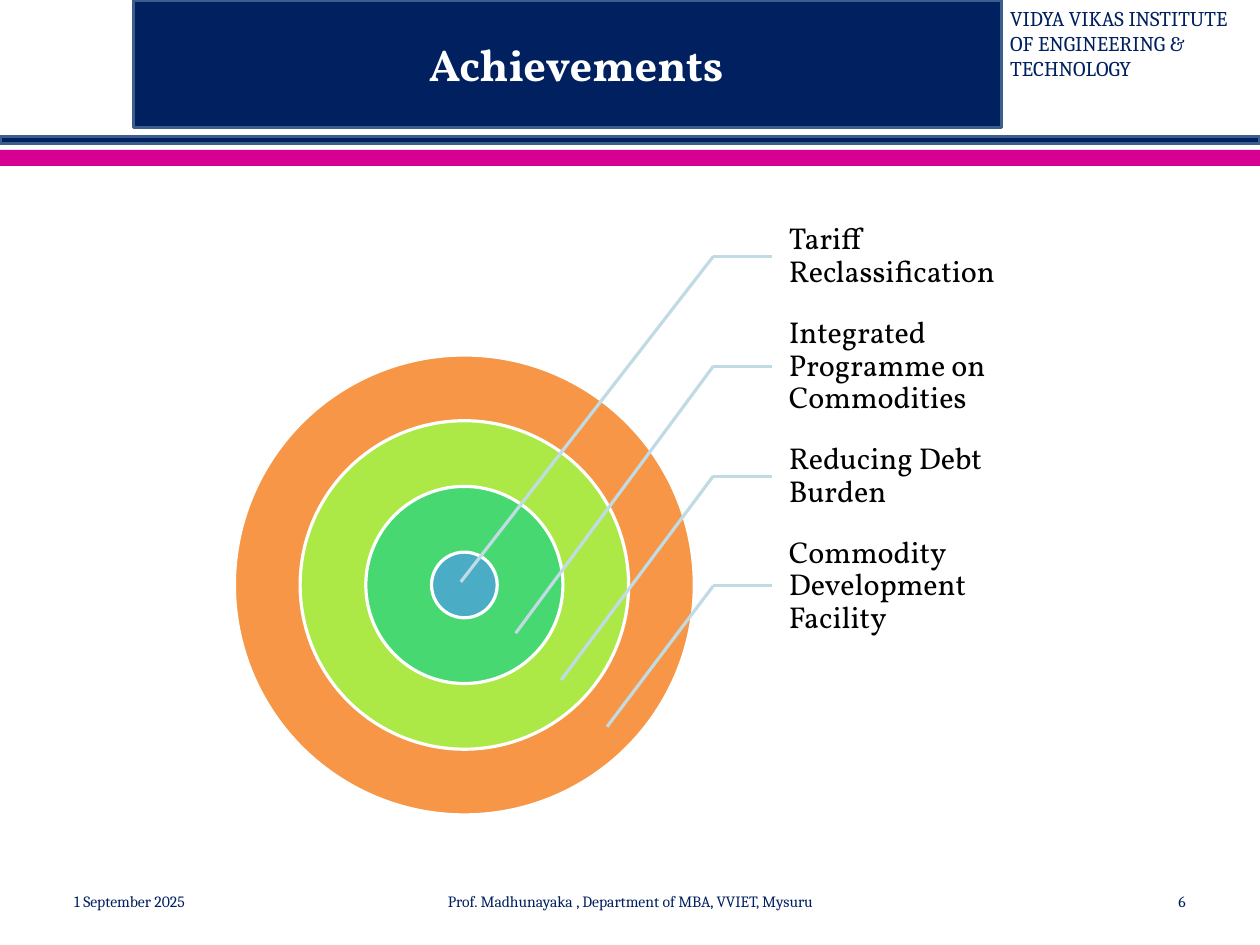
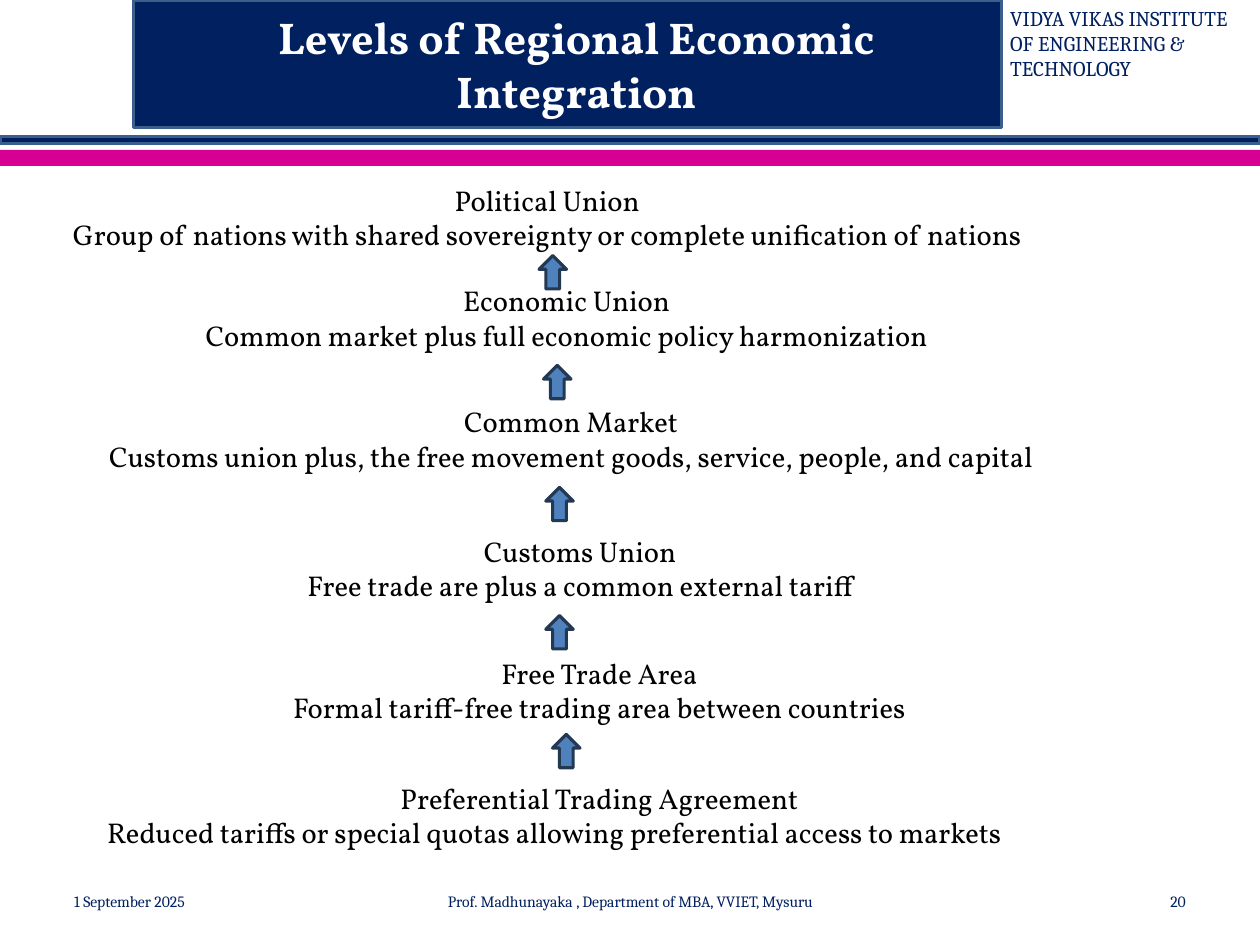
import pptx
import pptx.dml.color
import pptx.enum.shapes
import pptx.enum.text
import pptx.oxml
import pptx.oxml.ns
import pptx.util

Cm = pptx.util.Cm
Pt = pptx.util.Pt
hex_color = pptx.dml.color.RGBColor.from_string
SHAPE = pptx.enum.shapes.MSO_SHAPE
ALIGN = pptx.enum.text.PP_ALIGN
ANCHOR = pptx.enum.text.MSO_ANCHOR

NAVY, WHITE, BLACK = "002060", "FFFFFF", "000000"
BAND_EDGE, PINK, LEADER = "3A5F8C", "D60093", "C1DBE5"
HEAD_FONT, SMALL_FONT = "Vollkorn", "Cambria"
BAND_HEIGHT = 2.84


def add_figure(slide, kind, box, fill, line=None):
    shape = slide.shapes.add_shape(kind, *[Cm(length) for length in box])
    shape.shadow.inherit = False
    shape.fill.solid()
    shape.fill.fore_color.rgb = hex_color(fill)
    if line:
        shape.line.color.rgb = hex_color(line)
        shape.line.width = Pt(2)
    else:
        shape.line.fill.background()
    return shape


def add_text(slide, box, text, size, font, color, align=ALIGN.LEFT, anchor=ANCHOR.TOP):
    shape = slide.shapes.add_textbox(*[Cm(length) for length in box])
    frame = shape.text_frame
    frame.word_wrap = True
    frame.vertical_anchor = anchor
    frame.text = text
    for paragraph in frame.paragraphs:
        paragraph.alignment = align
        paragraph.font.size = Pt(size)
        paragraph.font.name = font
        paragraph.font.color.rgb = hex_color(color)
    return shape


presentation = pptx.Presentation()
presentation.slide_width, presentation.slide_height = Cm(28), Cm(21)
layout = presentation.slide_layouts.get_by_name("Title Only")

# Title position, set once on the layout: as high as the header band
layout_title = layout.placeholders[0]
layout_title.left, layout_title.top = Cm(3.56), Cm(0)
layout_title.width, layout_title.height = Cm(18.49), Cm(BAND_HEIGHT)

achievements = presentation.slides.add_slide(layout)
integration = presentation.slides.add_slide(layout)

# Header bands and institute name, drawn once and moved to the layout
header = [
    add_figure(achievements, SHAPE.RECTANGLE, (2.97, 0, 19.28, BAND_HEIGHT), NAVY, BAND_EDGE),
    add_figure(achievements, SHAPE.RECTANGLE, (0, 3.04, 28, 0.15), NAVY, BAND_EDGE),
    add_figure(achievements, SHAPE.RECTANGLE, (0, 3.33, 28, 0.36), PINK),
    add_text(achievements, (22.2, 0, 5.79, 1.96),
             "VIDYA VIKAS INSTITUTE OF ENGINEERING & TECHNOLOGY", 13.2, SMALL_FONT, NAVY),
]
for shape in header:
    layout.shapes._spTree.append(shape._element)

# Titles and footers
for slide, title, number in (
    (achievements, "Achievements", "6"),
    (integration, "Levels of Regional Economic Integration", "20"),
):
    frame = slide.shapes.title.text_frame
    frame.text = title
    frame.vertical_anchor = ANCHOR.MIDDLE
    frame.margin_top = frame.margin_bottom = Cm(0)
    frame.auto_size = pptx.enum.text.MSO_AUTO_SIZE.NONE
    frame.paragraphs[0].alignment = ALIGN.CENTER
    font = frame.paragraphs[0].runs[0].font
    font.name, font.size, font.bold = HEAD_FONT, Pt(28), True
    font.color.rgb = hex_color(WHITE)

    for left, width, text, align in (
        (1.4, 6.53, "1 September 2025", ALIGN.LEFT),
        (9.58, 8.86, "Prof. Madhunayaka , Department of MBA, VVIET, Mysuru", ALIGN.CENTER),
        (20.07, 6.53, number, ALIGN.RIGHT),
    ):
        add_text(slide, (left, 19.46, width, 1.12), text, 9.9, SMALL_FONT, NAVY,
                 align, ANCHOR.MIDDLE)

# Slide 1: concentric target, from the outer ring to the core
center_x, center_y, core = 10.32, 13, 1.46
for multiple, fill in ((7, "F79646"), (5, "ACE946"), (3, "47D872"), (1, "4BACC6")):
    diameter = core * multiple
    add_figure(achievements, SHAPE.OVAL,
               (center_x - diameter / 2, center_y - diameter / 2, diameter, diameter),
               fill, WHITE)

# Slide 1: labels with leaders into the rings
label_left, elbow_x, label_height = 17.15, 15.85, 2.44
for index, (text, target) in enumerate((
    ("Tariff Reclassification", (10.24, 12.93)),
    ("Integrated Programme on Commodities", (11.46, 14.07)),
    ("Reducing Debt Burden", (12.47, 15.11)),
    ("Commodity Development Facility", (13.49, 16.15)),
)):
    top = 4.48 + index * label_height
    middle = top + label_height / 2
    label = add_text(achievements, (label_left, top, 5.11, label_height), text, 19,
                     HEAD_FONT, BLACK, anchor=ANCHOR.MIDDLE)
    frame = label.text_frame
    frame.margin_left = Cm(0.38)
    frame.margin_right = frame.margin_top = frame.margin_bottom = Cm(0.08)
    frame.paragraphs[0].line_spacing = 0.9
    for end_x, end_y in ((label_left, middle), target):
        leader = achievements.shapes.add_connector(
            pptx.enum.shapes.MSO_CONNECTOR.STRAIGHT,
            Cm(elbow_x), Cm(middle), Cm(end_x), Cm(end_y))
        leader.line.color.rgb = hex_color(LEADER)
        leader.line.width = Pt(2)
        leader._element.spPr.append(
            pptx.oxml.parse_xml("<a:effectLst %s/>" % pptx.oxml.ns.nsdecls("a")))

# Slide 2: levels from top to bottom
for left, top, name, meaning in (
    (0.97, 3.94, "Political Union",
     "Group of nations with shared sovereignty or complete unification of nations"),
    (1.4, 6.17, "Economic Union", "Common market plus full economic policy harmonization"),
    (1.5, 8.86, "Common Market",
     "Customs union plus, the free movement goods, service, people, and capital"),
    (1.7, 11.73, "Customs Union", "Free trade are plus a common external tariff"),
    (2.13, 14.45, "Free Trade Area", "Formal tariff-free trading area between countries"),
    (2.13, 17.22, "Preferential Trading Agreement",
     "Reduced tariffs or special quotas allowing preferential access to markets"),
):
    level = add_text(integration, (left, top, 22.38, 1.8), name + "\n" + meaning, 18,
                     HEAD_FONT, BLACK, ALIGN.CENTER)
# The lowest level has its meaning set to the left
level.text_frame.paragraphs[1].alignment = ALIGN.LEFT

# Slide 2: arrows between the levels
for left, top in ((11.98, 5.68), (12.08, 8.12), (12.13, 10.83), (12.13, 13.68), (12.28, 16.32)):
    add_figure(integration, SHAPE.UP_ARROW, (left, top, 0.61, 0.74), "4F81BD", "233953")

presentation.save("out.pptx")
